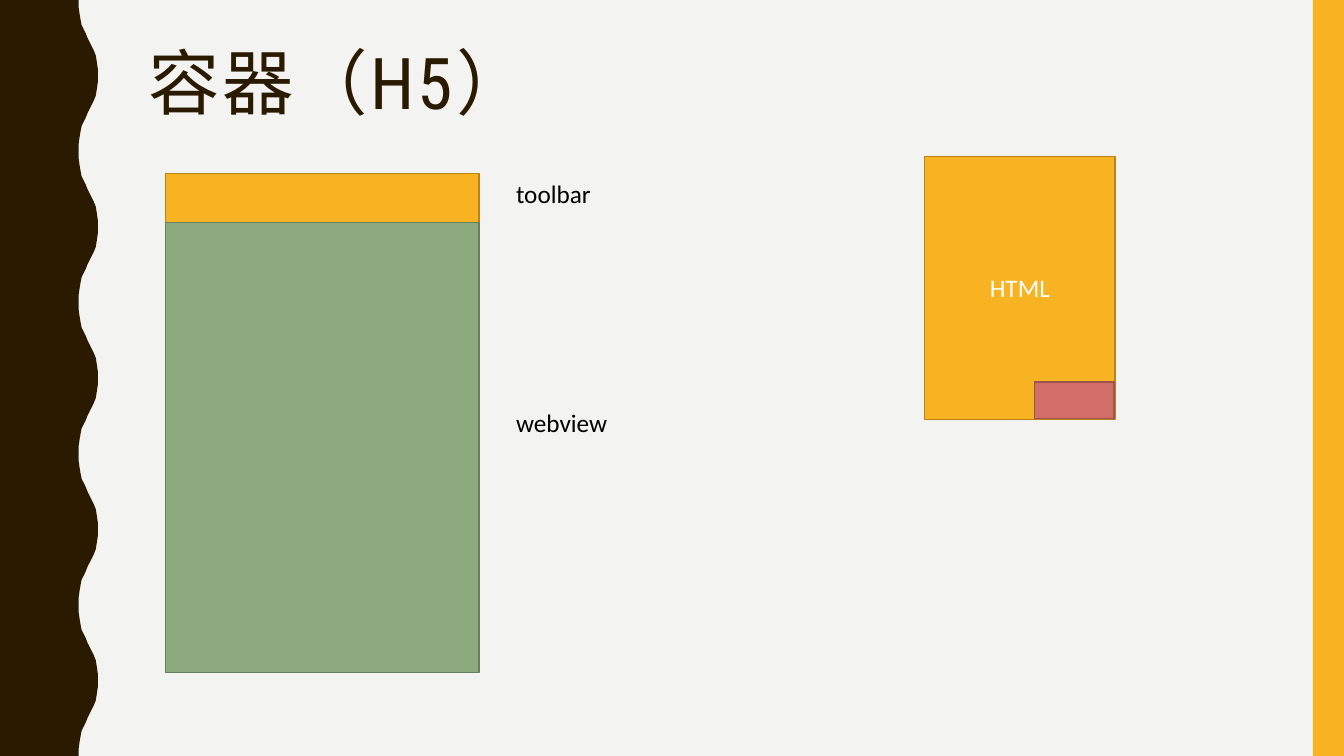
from dataclasses import dataclass

from pptx import Presentation
from pptx.dml.color import RGBColor
from pptx.enum.shapes import MSO_SHAPE as SHAPE
from pptx.enum.text import MSO_ANCHOR as ANCHOR, MSO_AUTO_SIZE as AUTO, PP_ALIGN as ALIGN
from pptx.util import Inches, Pt


@dataclass(frozen=True)
class Theme:
    background: str = "F3F3F2"
    dark: str = "2A1A00"
    amber: tuple = ("F8B323", "B7841A")  # fill, outline
    green: tuple = ("8CAA7E", "687E5D")
    red: tuple = ("D36F68", "9C524D")
    black: str = "000000"
    white: str = "FFFFFF"
    title_font: str = "Roboto Condensed"
    body_font: str = "Calibri"
    title_size: int = 51
    body_size: int = 18
    title_spacing: int = 200  # hundredths of a point


def rgb(value):
    return RGBColor.from_string(value)


class SlideBuilder:
    def __init__(self, slide, theme):
        self.slide, self.theme = slide, theme
        fill = slide.background.fill
        fill.solid()
        fill.fore_color.rgb = rgb(theme.background)

    def place(self, sp, box):
        for name, value in zip(("left", "top", "width", "height"), box):
            setattr(sp, name, Inches(value))

    def paint(self, sp, fill, line=None):
        sp.shadow.inherit = False
        sp.fill.solid()
        sp.fill.fore_color.rgb = rgb(fill)
        if line:
            sp.line.color.rgb = rgb(line)
            sp.line.width = Pt(1)
        else:
            sp.line.fill.background()

    def add_text(self, sp, text, color, font, size, frame):
        tf = sp.text_frame
        for name, value in {"word_wrap": True, **frame}.items():
            setattr(tf, name, value)
        p = tf.paragraphs[0]
        r = p.add_run()
        r.text = text
        for name, value in {"name": font, "size": Pt(size), "bold": False}.items():
            setattr(r.font, name, value)
        r.font.color.rgb = rgb(color)
        return p, r

    def title(self, text, box):
        th = self.theme
        sp = self.slide.shapes.title
        self.place(sp, box)
        frame = {"vertical_anchor": ANCHOR.TOP, "auto_size": AUTO.NONE}
        p, r = self.add_text(sp, text, th.dark, th.title_font, th.title_size, frame)
        p.alignment = ALIGN.LEFT
        p.line_spacing = 0.9
        r.font._element.set("spc", str(th.title_spacing))

    def rect(self, box, fill, line=None, text=None):
        th = self.theme
        sp = self.slide.shapes.add_shape(SHAPE.RECTANGLE, *map(Inches, box))
        self.paint(sp, fill, line)
        if text:
            frame = {"vertical_anchor": ANCHOR.MIDDLE}
            p, _ = self.add_text(sp, text, th.white, th.body_font, th.body_size, frame)
            p.alignment = ALIGN.CENTER

    def label(self, text, box):
        th = self.theme
        sp = self.slide.shapes.add_textbox(*map(Inches, box))
        frame = {"auto_size": AUTO.SHAPE_TO_FIT_TEXT}
        self.add_text(sp, text, th.black, th.body_font, th.body_size, frame)

    def outline(self, points, fill):
        start, *rest = [(Inches(x), Inches(y)) for x, y in points]
        builder = self.slide.shapes.build_freeform(*start)
        builder.add_line_segments(rest, close=True)
        self.paint(builder.convert_to_shape(), fill)


def wave_points(height, period):
    """Left band whose right edge repeats one mirrored half wave."""
    half = [(0.78, 0), (0.78, 0.07), (0.79, 0.14), (0.8, 0.2), (0.81, 0.25),
            (0.83, 0.29), (0.85, 0.33), (0.87, 0.38), (0.89, 0.42), (0.91, 0.46),
            (0.93, 0.5), (0.95, 0.55), (0.96, 0.61), (0.97, 0.68), (0.97, 0.75)]
    wave = half + [(x, period - y) for x, y in half[-2::-1]]
    edge = [(x, y + i * period) for i in range(round(height / period)) for x, y in wave]
    return [(0, 0), *edge, (0, height)]


def main():
    prs = Presentation()
    prs.slide_width, prs.slide_height = Inches(13.33), Inches(7.5)
    th = Theme()
    page = SlideBuilder(prs.slides.add_slide(prs.slide_layouts[5]), th)

    # Side bands and title
    page.outline(wave_points(height=7.5, period=1.5), th.dark)
    page.rect((13.02, 0, 0.31, 7.5), th.amber[0])
    page.title("容器（H5）", (1.37, 0.42, 11.13, 1.63))

    # Container: toolbar above webview
    page.rect((1.64, 1.72, 3.11, 4.94), *th.amber)
    page.rect((1.64, 2.21, 3.11, 4.46), *th.green)
    for text, top in (("toolbar", 1.72), ("webview", 3.99)):
        page.label(text, (5.02, top, 1.72, 0.4))

    # HTML page with its corner block
    page.rect((9.17, 1.55, 1.89, 2.61), *th.amber, text="HTML")
    page.rect((10.26, 3.79, 0.79, 0.36), *th.red)

    prs.save("out.pptx")


if __name__ == "__main__":
    main()
